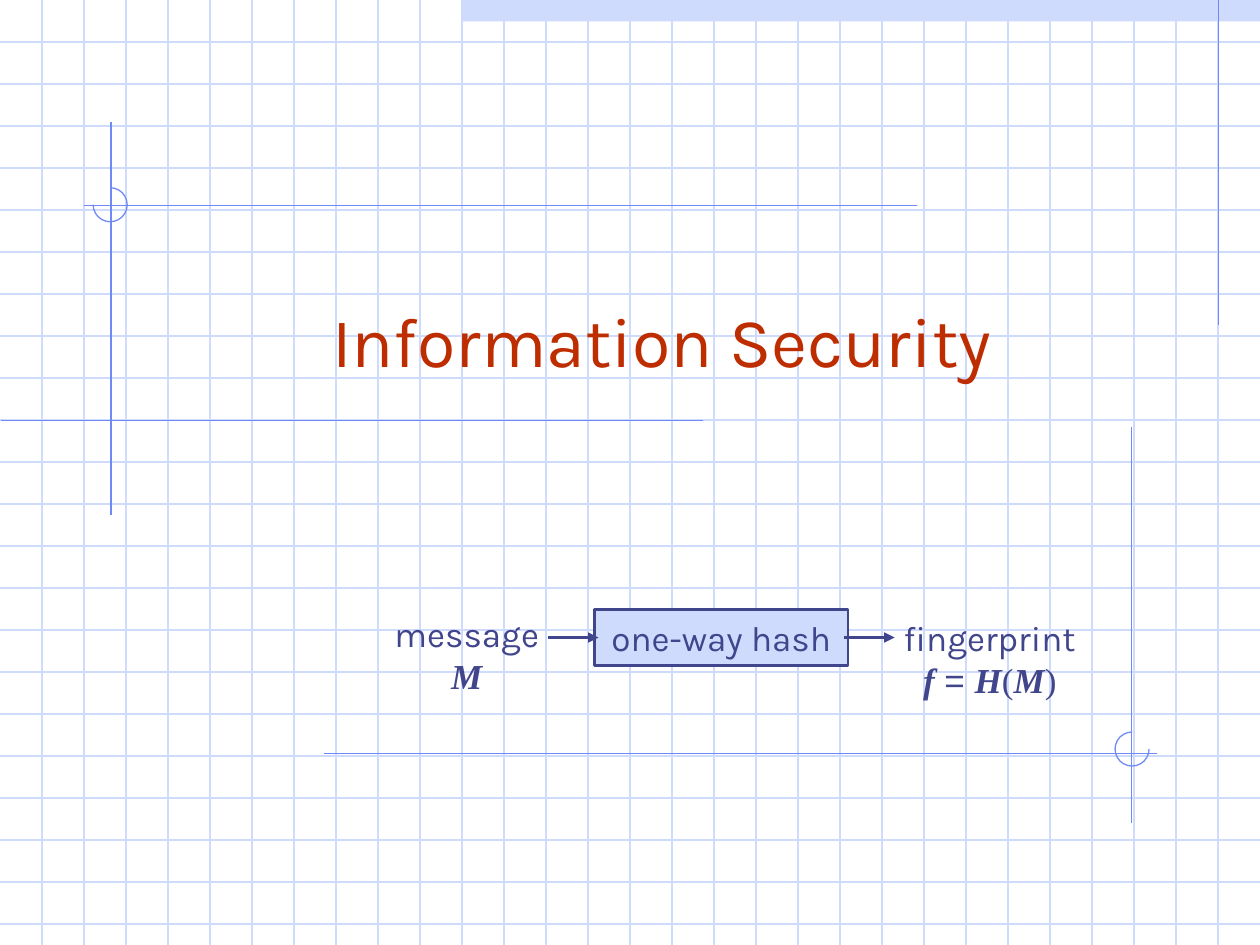
from dataclasses import dataclass

from lxml import etree
from pptx import Presentation
from pptx.dml.color import RGBColor
from pptx.enum.shapes import MSO_CONNECTOR, MSO_SHAPE
from pptx.enum.text import MSO_ANCHOR, PP_ALIGN
from pptx.oxml.ns import qn
from pptx.util import Inches, Pt

RECT, ARC = MSO_SHAPE.RECTANGLE, MSO_SHAPE.ARC
STRAIGHT = MSO_CONNECTOR.STRAIGHT
TOP, MIDDLE, BOTTOM = MSO_ANCHOR.TOP, MSO_ANCHOR.MIDDLE, MSO_ANCHOR.BOTTOM
CENTER = PP_ALIGN.CENTER


@dataclass(frozen=True)
class Theme:
    pale: RGBColor = RGBColor.from_string("CFDBFD")
    blue: RGBColor = RGBColor.from_string("6F89F7")
    ink: RGBColor = RGBColor.from_string("40458C")
    red: RGBColor = RGBColor.from_string("BE2D00")
    sans: str = "Karla"
    math: str = "Times New Roman"
    sign: str = "Arial"
    head: int = 40
    body: int = 20
    thin: float = 0.75
    thick: float = 1.5


THEME = Theme()
WIDE, HIGH = 10, 7.5


def add_line(slide, x1, y1, x2, y2, color, width=THEME.thin, arrow=False):
    ends = [Inches(v) for v in (x1, y1, x2, y2)]
    line = slide.shapes.add_connector(STRAIGHT, *ends)
    line.line.color.rgb = color
    line.line.width = Pt(width)
    if arrow:
        tail = etree.SubElement(line.line._get_or_add_ln(), qn("a:tailEnd"))
        tail.set("type", "triangle")
    etree.SubElement(line._element.spPr, qn("a:effectLst"))


def add_rect(slide, x, y, w, h, edge=None):
    box = slide.shapes.add_shape(RECT, Inches(x), Inches(y), Inches(w), Inches(h))
    box.shadow.inherit = False
    box.fill.solid()
    box.fill.fore_color.rgb = THEME.pale
    if edge:
        box.line.color.rgb = edge
        box.line.width = Pt(THEME.thick)
    else:
        box.line.fill.background()
    return box


def add_arc(slide, x, y, start, end):
    size = Inches(0.27)
    arc = slide.shapes.add_shape(ARC, Inches(x), Inches(y), size, size)
    arc.shadow.inherit = False
    arc.fill.background()
    arc.line.color.rgb = THEME.blue
    arc.line.width = Pt(THEME.thin)
    for i, angle in enumerate((start, end)):
        arc.adjustments[i] = angle * 0.6


def set_text(box, text, size, color, anchor, wrap=False):
    frame = box.text_frame
    frame.word_wrap = wrap
    frame.vertical_anchor = anchor
    para = frame.paragraphs[0]
    para.alignment = CENTER
    para.font.size = Pt(size)
    para.font.color.rgb = color
    para.font.name = THEME.sans
    para.add_run().text = text
    return para


def add_text(slide, x, y, w, h, *style, **extra):
    box = slide.shapes.add_textbox(Inches(x), Inches(y), Inches(w), Inches(h))
    return set_text(box, *style, **extra)


def add_math(para, parts):
    para.add_line_break()
    for text, name, strong in parts:
        run = para.add_run()
        run.text = text
        run.font.name = name
        run.font.bold = run.font.italic = strong


def draw_grid(slide):
    add_rect(slide, 3.67, 0, 6.33, 0.17)
    for i in range(1, 23):
        add_line(slide, 0, i / 3, WIDE, i / 3, THEME.pale)
    for i in range(1, 30):
        add_line(slide, i / 3, 0, i / 3, HIGH, THEME.pale)


def draw_marks(slide):
    for ends in (
        (9.67, 0, 9.67, 2.58),
        (0.88, 0.97, 0.88, 4.09),
        (5.58, 3.34, 0.01, 3.34),
        (7.28, 1.63, 0.67, 1.63),
        (2.57, 5.98, 9.18, 5.98),
        (8.98, 3.39, 8.98, 6.53),
    ):
        add_line(slide, *ends, THEME.blue)
    add_arc(slide, 0.74, 1.49, 270, 180)
    add_arc(slide, 8.85, 5.81, 0, 270)


def draw_hash(slide):
    style = THEME.body, THEME.ink
    para = add_text(slide, 7.05, 4.84, 1.61, 0.77, "fingerprint", *style, TOP)
    add_math(para, (
        ("f", THEME.math, True),
        (" = ", THEME.sign, False),
        ("H", THEME.math, True),
        ("(", THEME.math, False),
        ("M", THEME.math, True),
        (")", THEME.math, False),
    ))
    box = add_rect(slide, 4.72, 4.84, 2.01, 0.44, THEME.ink)
    set_text(box, "one-way hash", *style, MIDDLE)
    for x in (6.7, 4.35):
        add_line(slide, x, 5.06, x + 0.4, 5.06, THEME.ink, THEME.thick, True)
    para = add_text(slide, 3.02, 4.81, 1.37, 0.77, "message", *style, TOP)
    add_math(para, [("M", THEME.math, True)])


def main():
    deck = Presentation()
    deck.slide_width, deck.slide_height = Inches(WIDE), Inches(HIGH)
    slide = deck.slides.add_slide(deck.slide_layouts[6])
    draw_grid(slide)
    draw_marks(slide)
    add_text(slide, 1, 1.83, 8.5, 1.25, "Information Security",
             THEME.head, THEME.red, BOTTOM, wrap=True)
    draw_hash(slide)
    deck.save("out.pptx")


if __name__ == "__main__":
    main()
